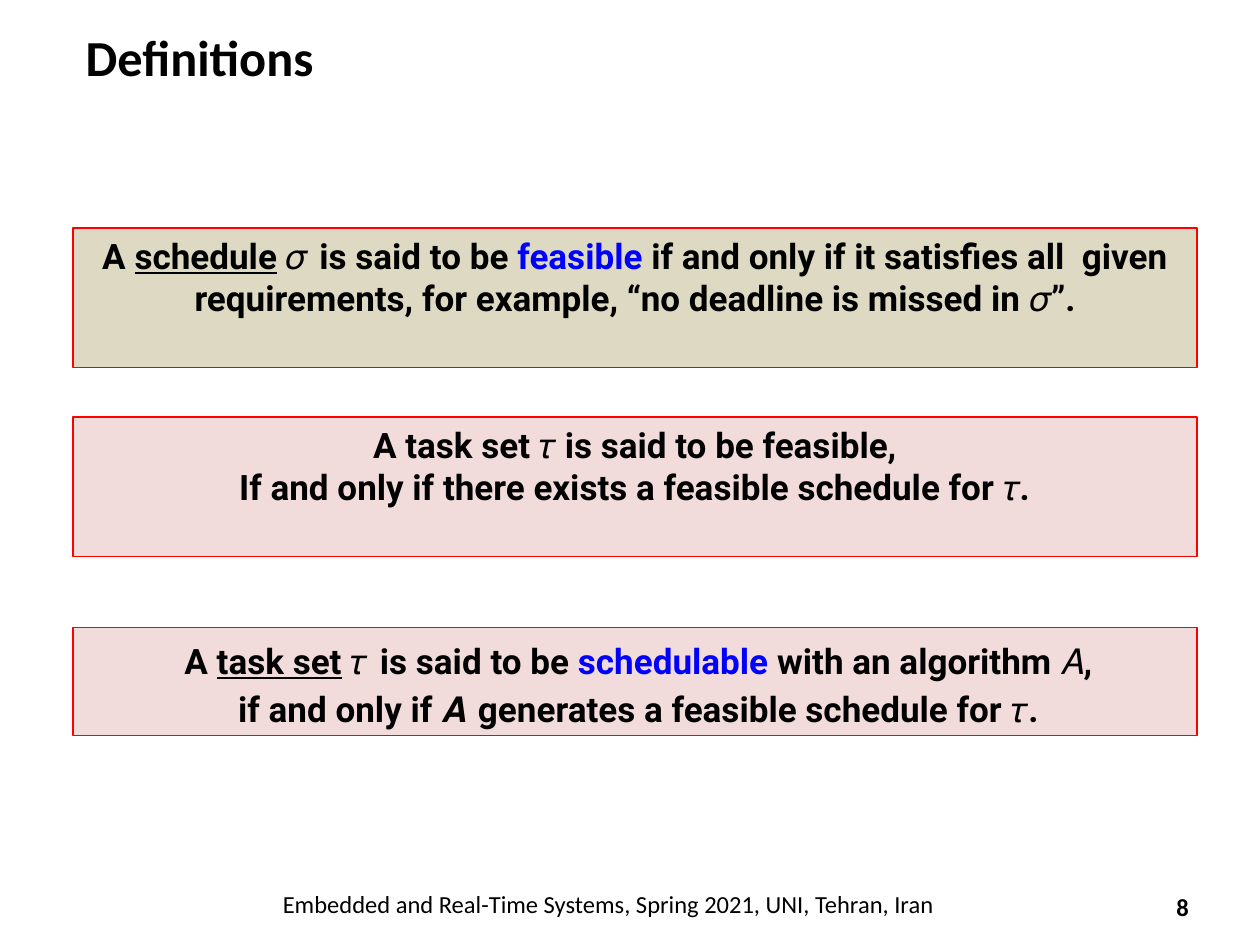
from dataclasses import dataclass

from pptx import Presentation
from pptx.dml.color import RGBColor
from pptx.enum.shapes import MSO_SHAPE
from pptx.enum.text import MSO_ANCHOR, PP_ALIGN
from pptx.util import Inches, Pt


@dataclass(frozen=True)
class Theme:
    text: str = "000000"
    term: str = "0000FF"
    border: str = "FF0000"
    sand: str = "DDD9C3"
    rose: str = "F2DCDB"
    heading_font: str = "Calibri"
    body_font: str = "Roboto"
    symbol_font: str = "DejaVu Sans"
    title_size: float = 28.8
    body_size: float = 20
    footer_size: float = 14


theme = Theme()


def format_run(run, font_name, size, bold=True, color=theme.text):
    run.font.name = font_name
    run.font.size = Pt(size)
    run.font.bold = bold
    run.font.color.rgb = RGBColor.from_string(color)


presentation = Presentation()
presentation.slide_width = Inches(10)
presentation.slide_height = Inches(7.5)
slide = presentation.slides.add_slide(presentation.slide_layouts[5])

left_edge, box_width = Inches(0.58), Inches(8.92)

title = slide.shapes.title
title.left, title.top = left_edge, Inches(0.17)
title.width, title.height = Inches(4.08), Inches(0.55)
title.text_frame.text = "Definitions"
title.text_frame.vertical_anchor = MSO_ANCHOR.MIDDLE
title_paragraph = title.text_frame.paragraphs[0]
title_paragraph.alignment = PP_ALIGN.LEFT
format_run(title_paragraph.runs[0], theme.heading_font, theme.title_size)

definitions = [
    (1.81, 1.11, theme.sand, None, [
        [("A ", ""), ("schedule", "underline"), (" ", ""), ("𝜎 ", "symbol"),
         ("is said to be ", ""), ("feasible ", "term"),
         ("if and only if it satisfies all  given requirements, "
          "for example, “no deadline is missed in ", ""),
         ("𝜎", "symbol"), ("”.", "")],
    ]),
    (3.31, 1.11, theme.rose, None, [
        [("A task set 𝜏 is said to be feasible,", "")],
        [("If and only if there exists a feasible schedule for 𝜏.", "")],
    ]),
    (4.98, 0.86, theme.rose, Pt(27.4), [
        [("A ", ""), ("task set", "underline"), (" ", ""), ("𝜏 ", "symbol"),
         ("is said to be ", ""), ("schedulable ", "term"),
         ("with an algorithm ", ""), ("𝐴", "symbol"), (",", "")],
        [("if and only if ", ""), ("𝑨 ", "symbol"),
         ("generates a feasible schedule for ", ""), ("𝜏", "symbol"), (".", "")],
    ]),
]

for top, height, fill, line_spacing, lines in definitions:
    box = slide.shapes.add_shape(
        MSO_SHAPE.RECTANGLE, left_edge, Inches(top), box_width, Inches(height))
    box.shadow.inherit = False
    box.fill.solid()
    box.fill.fore_color.rgb = RGBColor.from_string(fill)
    box.line.color.rgb = RGBColor.from_string(theme.border)
    box.line.width = Pt(0.75)
    text_frame = box.text_frame
    text_frame.word_wrap = True
    text_frame.vertical_anchor = MSO_ANCHOR.TOP
    if line_spacing:
        text_frame.margin_left = Inches(0.15)
    for index, pieces in enumerate(lines):
        paragraph = text_frame.add_paragraph() if index else text_frame.paragraphs[0]
        paragraph.alignment = PP_ALIGN.CENTER
        paragraph.line_spacing = line_spacing
        for text, style in pieces:
            run = paragraph.add_run()
            run.text = text
            format_run(
                run,
                theme.symbol_font if style == "symbol" else theme.body_font,
                theme.body_size,
                color=theme.term if style == "term" else theme.text)
            if style == "underline":
                run.font.underline = True

footers = [
    ("Embedded and Real-Time Systems, Spring 2021, UNI, Tehran, Iran",
     1.08, 7.01, 7.5, 0.34, False, MSO_ANCHOR.TOP, 0.05),
    ("8", 9.09, 7, 0.59, 0.4, True, MSO_ANCHOR.MIDDLE, 0),
]

for text, left, top, width, height, bold, anchor, margin in footers:
    footer = slide.shapes.add_textbox(
        Inches(left), Inches(top), Inches(width), Inches(height))
    text_frame = footer.text_frame
    text_frame.word_wrap = True
    text_frame.vertical_anchor = anchor
    text_frame.margin_left = text_frame.margin_right = Inches(2 * margin)
    text_frame.margin_top = text_frame.margin_bottom = Inches(margin)
    text_frame.text = text
    paragraph = text_frame.paragraphs[0]
    paragraph.alignment = PP_ALIGN.CENTER
    format_run(paragraph.runs[0], theme.heading_font, theme.footer_size, bold)

presentation.save("out.pptx")
